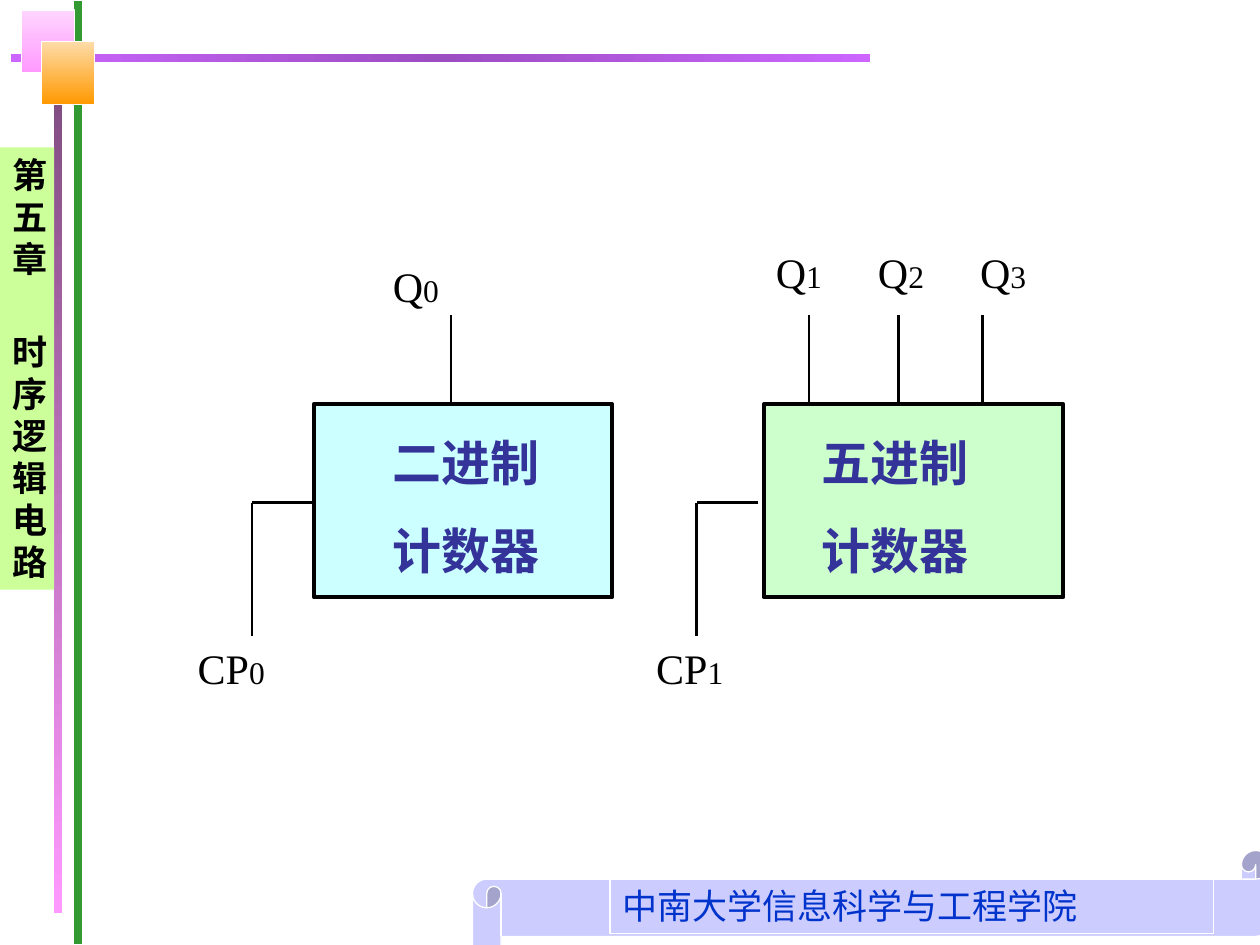
from copy import deepcopy
from dataclasses import dataclass

from lxml.etree import SubElement
from pptx import Presentation
from pptx.dml.color import RGBColor
from pptx.enum.shapes import MSO_CONNECTOR as Connector, MSO_SHAPE as Shape
from pptx.enum.text import PP_ALIGN as Align
from pptx.oxml.ns import qn
from pptx.util import Inches, Pt


@dataclass(frozen=True)
class Theme:
    latin: str = "Times New Roman"
    chinese: str = "Noto Sans CJK SC"
    black: str = "000000"
    white: str = "FFFFFF"
    green: str = "339933"
    scroll: str = "CCCCFF"
    footer: str = "0033CC"
    chapter: str = "CCFF99"
    counter_name: str = "333399"
    binary: str = "CCFFFF"
    quinary: str = "CCFFCC"
    top_bar: tuple = ("CC66FF", "9B4DC2", "CC66FF")
    side_bar: tuple = ("754675", "FF99FF")
    pink_square: tuple = ("FED5FE", "FF99FF")
    orange_square: tuple = ("FEDCA9", "FF9900")
    running_size: int = 20
    counter_size: int = 28
    signal_size: int = 24
    index_size: int = 18
    thin: float = 0.75
    wire: float = 1.5
    frame: float = 2.25


THEME = Theme()


def rgb(value):
    return RGBColor.from_string(value)


def fill_gradient(shape, colors, angle):
    shape.fill.gradient()
    shape.fill.gradient_angle = angle
    stop_list = shape.fill.gradient_stops
    if len(colors) > len(stop_list):
        gs_list = next(shape._element.spPr.iter(qn("a:gsLst")))
        gs_list.append(deepcopy(gs_list[0]))
        stop_list = shape.fill.gradient_stops
    for index, (stop, color) in enumerate(zip(stop_list, colors)):
        stop.color.rgb = rgb(color)
        stop.position = index / (len(colors) - 1)


def add_block(slide, box, fill=None, line=THEME.white, width=THEME.thin,
              kind=Shape.RECTANGLE, angle=270):
    """Add a preset shape; a tuple of colours as fill makes a gradient."""
    block = slide.shapes.add_shape(kind, *map(Inches, box))
    block.shadow.inherit = False
    if fill is None:
        block.fill.background()
    elif isinstance(fill, tuple):
        fill_gradient(block, fill, angle)
    else:
        block.fill.solid()
        block.fill.fore_color.rgb = rgb(fill)
    if line is None:
        block.line.fill.background()
    else:
        block.line.color.rgb = rgb(line)
        block.line.width = Pt(width)
    return block


def add_wire(slide, start, end):
    wire = slide.shapes.add_connector(
        Connector.STRAIGHT, *map(Inches, (*start, *end)))
    wire.line.color.rgb = rgb(THEME.black)
    wire.line.width = Pt(THEME.wire)
    SubElement(wire._element.spPr, qn("a:effectLst"))


def add_text(slide, box, paragraphs, *, color=THEME.black, font=THEME.latin,
             bold=False, align=Align.LEFT, gap=0, spacing=None):
    """Add text; each paragraph is a list of (text, size) runs."""
    text_box = slide.shapes.add_textbox(*map(Inches, box))
    frame = text_box.text_frame
    frame.word_wrap = True
    for index, runs in enumerate(paragraphs):
        paragraph = frame.paragraphs[0] if index == 0 else frame.add_paragraph()
        paragraph.alignment = align
        if index:
            paragraph.space_before = Pt(gap)
        if spacing:
            paragraph.line_spacing = Pt(spacing)
        for text, size in runs:
            run = paragraph.add_run()
            run.text = text
            run.font.size = Pt(size)
            run.font.bold = bold
            run.font.name = font
            run.font.color.rgb = rgb(color)
            east_asian = SubElement(run._r.get_or_add_rPr(), qn("a:ea"))
            east_asian.set("typeface", THEME.chinese)


def add_signal(slide, box, name, index):
    add_text(slide, box,
             [[(name, THEME.signal_size), (index, THEME.index_size)]])


def add_decoration(slide, left, top, width, height):
    """Bars and squares along the top and left edges, and the scroll."""
    bar = 0.08
    add_block(slide, (left + 0.58, top, bar, height), THEME.green)
    scroll = add_block(slide, (left + 3.75, top + height - 0.75, 6.33, 0.91),
                       THEME.scroll, kind=Shape.HORIZONTAL_SCROLL)
    scroll.adjustments[0] = 0.25
    add_block(slide, (left + 0.08, top + 0.42, 6.83, bar), THEME.top_bar,
              kind=Shape.FLOWCHART_PROCESS, angle=180)
    add_block(slide, (left + 0.42, top + 0.08, bar, 7.17), THEME.side_bar)
    add_block(slide, (left + 0.17, top + 0.08, 0.42, 0.5), THEME.pink_square)
    add_block(slide, (left + 0.33, top + 0.33, 0.42, 0.5), THEME.orange_square)


def add_footer(slide, *box):
    add_block(slide, box)
    add_text(slide, box, [[("中南大学信息科学与工程学院", THEME.running_size)]],
             color=THEME.footer, spacing=24)


def add_chapter(slide, *box):
    """Narrow column, one character to a line."""
    add_block(slide, box, THEME.chapter, line=None)
    lines = [[(text, THEME.running_size)] for text in ("第五章", "时序逻辑电路")]
    add_text(slide, box, lines, font=THEME.chinese, bold=True,
             align=Align.JUSTIFY, gap=29, spacing=24)


def add_counter(slide, left, top, width, height, *, name, fill, name_left,
                clock, clock_left, clock_gap, outputs, label_rise):
    """Counter with a clock wire on its left and output wires on top.

    Each output is (index, wire offset, label offset) from the left edge.
    """
    add_block(slide, (left, top, width, height), fill, THEME.black, THEME.frame)
    lines = [[(text, THEME.counter_size)] for text in (name, "计数器")]
    add_text(slide, (left + name_left, top + 0.18, 1.6, 1.28), lines,
             color=THEME.counter_name, bold=True, gap=17.5, spacing=33)

    # Clock input
    corner = (left - clock_gap - 0.49, top + 0.78)
    clock_end = top + 1.84
    add_wire(slide, (left - clock_gap, corner[1]), corner)
    add_wire(slide, corner, (corner[0], clock_end))
    add_signal(slide, (left - clock_left, clock_end, 1.21, 0.5), "CP", clock)

    # Outputs
    for index, wire_left, label_left in outputs:
        wire_x = left + wire_left
        add_wire(slide, (wire_x, top), (wire_x, top - 0.71))
        add_signal(slide, (left + label_left, top - label_rise, 0.8, 0.5),
                   "Q", index)


def main():
    deck = Presentation()
    deck.slide_width, deck.slide_height = Inches(10), Inches(7.5)
    slide = deck.slides.add_slide(deck.slide_layouts[6])

    add_decoration(slide, 0, 0, 10, 7.5)
    add_footer(slide, 4.84, 6.97, 4.79, 0.44)
    add_chapter(slide, 0, 1.17, 0.43, 3.51)

    add_counter(slide, 2.49, 3.21, 2.37, 1.53, name="二进制",
                fill=THEME.binary, name_left=0.53, clock="0", clock_left=1.02,
                clock_gap=0, outputs=[("0", 1.09, 0.53)], label_rise=1.19)
    add_counter(slide, 6.06, 3.21, 2.38, 1.53, name="五进制",
                fill=THEME.quinary, name_left=0.36, clock="1", clock_left=0.95,
                clock_gap=0.04, label_rise=1.3,
                outputs=[("1", 0.36, 0), ("2", 1.07, 0.81), ("3", 1.74, 1.62)])

    deck.save("out.pptx")


if __name__ == "__main__":
    main()
